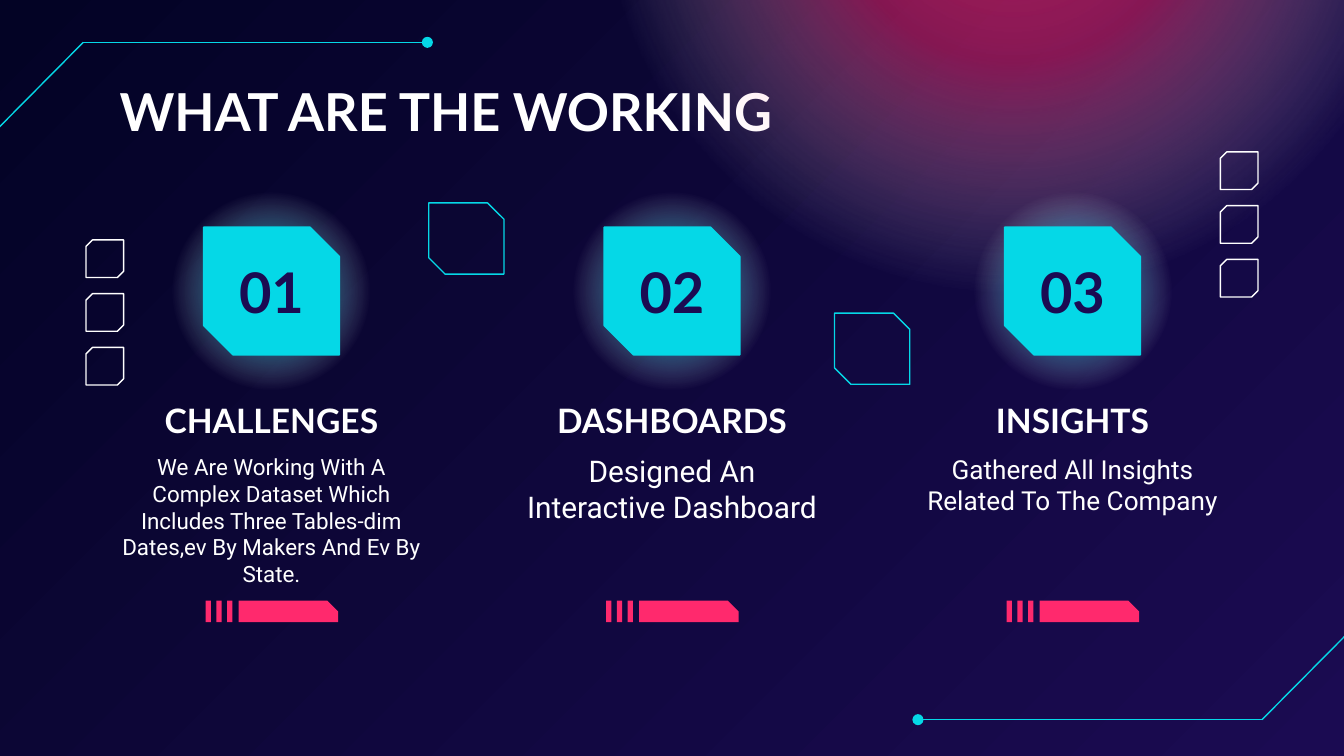
from lxml import etree
from pptx import Presentation
from pptx.dml.color import RGBColor
from pptx.enum.shapes import MSO_CONNECTOR, MSO_SHAPE
from pptx.enum.text import MSO_ANCHOR, MSO_AUTO_SIZE, PP_ALIGN
from pptx.oxml import parse_xml
from pptx.oxml.ns import qn
from pptx.util import Inches, Pt

OVAL, RECT = MSO_SHAPE.OVAL, MSO_SHAPE.RECTANGLE
SNIP, DIAG = MSO_SHAPE.SNIP_1_RECTANGLE, MSO_SHAPE.SNIP_2_DIAG_RECTANGLE
LINE = MSO_CONNECTOR.STRAIGHT
TOP, MID = MSO_ANCHOR.TOP, MSO_ANCHOR.MIDDLE
LEFT, CENTER = PP_ALIGN.LEFT, PP_ALIGN.CENTER
FIXED = MSO_AUTO_SIZE.NONE

NAVY, NIGHT, CYAN, PINK, WHITE = "1B0B52", "030325", "05D8E7", "FF296D", "FFFFFF"
HEAD, BODY = "Lato", "Roboto"
NS = "http://schemas.openxmlformats.org/drawingml/2006/main"


def color(code):
    return RGBColor.from_string(code)


def grid(*spans):
    """Turn columns and rows (100 columns to the slide's width) into lengths."""
    return [Inches(span / 10) for span in spans]


def write(shape, text, size=12, font=BODY, ink=WHITE, bold=False,
          align=CENTER, anchor=TOP, after=0):
    frame = shape.text_frame
    frame.word_wrap = True
    frame.auto_size = FIXED
    frame.vertical_anchor = anchor
    frame.margin_left = frame.margin_right = Inches(0.1)
    frame.margin_top = frame.margin_bottom = Inches(0.1)
    frame.text = text
    para = frame.paragraphs[0]
    para.alignment = align
    para.space_before, para.space_after = Pt(0), Pt(after)
    face = para.runs[0].font
    face.name, face.size, face.bold = font, Pt(size), bold
    face.color.rgb = color(ink)


class Deck:
    def __init__(self):
        self.file = Presentation()
        self.file.slide_width, self.file.slide_height = grid(100, 100 * 9 / 16)
        self.slide = self.file.slides.add_slide(self.file.slide_layouts[5])
        self.layer = self.slide.shapes

    def group(self):
        self.layer = self.slide.shapes.add_group_shape().shapes

    def leave(self):
        self.layer = self.slide.shapes

    def back(self, start, end):
        fill = self.slide.background.fill
        fill.gradient()
        fill.gradient_angle = 315
        for stop, code, place in zip(fill.gradient_stops, (start, end), (0, 1)):
            stop.color.rgb = color(code)
            stop.position = place

    def title(self, text, box):
        shape = self.slide.shapes.title
        shape.left, shape.top, shape.width, shape.height = grid(*box)
        write(shape, text, size=28, font=HEAD, bold=True, align=LEFT)

    def text(self, text, box, **style):
        write(self.layer.add_textbox(*grid(*box)), text, **style)

    def shape(self, kind, box, fill=None, line=None, cuts=(), turn=0):
        shape = self.layer.add_shape(kind, *grid(*box))
        shape.shadow.inherit = False
        shape.rotation = turn
        for index, cut in enumerate(cuts):
            shape.adjustments[index] = cut
        if fill:
            shape.fill.solid()
            shape.fill.fore_color.rgb = color(fill)
        else:
            shape.fill.background()
        if line:
            shape.line.color.rgb = color(line)
            shape.line.width = Pt(0.75)
        else:
            shape.line.fill.background()
        return shape

    def glow(self, x, y, size, code, core, ring):
        """Draw a round glow that fades out from its centre (x, y)."""
        shape = self.shape(OVAL, (x - size / 2, y - size / 2, size, size))
        stops = "".join(
            f'<a:gs pos="{pos}000"><a:srgbClr val="{tone}">'
            f'<a:alpha val="{alpha}000"/></a:srgbClr></a:gs>'
            for pos, tone, alpha in ((0, code, core), (30, code, ring),
                                     (69, WHITE, 0), (100, WHITE, 0)))
        fade = parse_xml(
            f'<a:gradFill xmlns:a="{NS}" rotWithShape="1"><a:gsLst>{stops}</a:gsLst>'
            '<a:path path="circle"><a:fillToRect l="50000" t="50000" '
            'r="50000" b="50000"/></a:path></a:gradFill>')
        props = shape._element.spPr
        props.replace(props.find(qn("a:noFill")), fade)

    def wire(self, start, end, dot=False):
        wire = self.layer.add_connector(LINE, *grid(*start, *end))
        wire.line.color.rgb = color(CYAN)
        wire.line.width = Pt(0.75)
        props = wire._element.spPr
        if dot:
            etree.SubElement(props.find(qn("a:ln")), qn("a:tailEnd"), type="oval")
        etree.SubElement(props, qn("a:effectLst"))

    def route(self, points):
        self.group()
        for index in range(len(points) - 1):
            self.wire(*points[index:index + 2], dot=index == len(points) - 2)
        self.leave()

    def bar(self, x, y):
        self.group()
        for index in range(3):
            self.shape(RECT, (x + 0.8 * index, y, 0.4, 1.6), fill=PINK)
        self.shape(SNIP, (x + 2.45, y, 7.4, 1.6), fill=PINK, cuts=[0.5])
        self.leave()

    def stack(self, x, y):
        self.group()
        for index in range(3):
            self.shape(DIAG, (x, y + 4 * index, 2.8, 2.8), line=WHITE,
                       cuts=[0, 0.17], turn=90)
        self.leave()

    def topic(self, mid, number, head, body, size):
        self.glow(mid, 21.65, 15.1, CYAN, 71, 48)
        self.shape(DIAG, (mid - 5.05, 16.9, 10.1, 9.5), fill=CYAN, line=CYAN,
                   cuts=[0, 0.23])
        self.text(number, (mid - 4.25, 19, 8.5, 5.3), size=30, font=HEAD,
                  ink=NAVY, bold=True, anchor=MID)
        self.text(head, (mid - 12.4, 29.3, 24.8, 3.9), size=18, font=HEAD,
                  bold=True, anchor=MID, after=12)
        self.text(body, (mid - 12.4, 32.7, 24.8, 10.1), size=size, after=12)
        self.bar(mid - 4.9, 44.7)


def main():
    deck = Deck()

    # Background, large glow and the two mirrored corner lines
    deck.back(NIGHT, NAVY)
    deck.glow(75.35, -8.65, 62.5, PINK, 67, 49)
    corner = [(-0.1, 9.5), (6.2, 3.15), (31.8, 3.15)]
    deck.route(corner)
    deck.route([(100.1 - x, 56.7 - y) for x, y in corner])

    # Title
    deck.title("WHAT ARE THE WORKING", (7.9, 4.9, 78.5, 6.7))

    # Three numbered topics
    topics = [
        ("01", "CHALLENGES", "We Are Working With A Complex Dataset Which Includes "
         "Three Tables-dim Dates,ev By Makers And Ev By State.", 12),
        ("02", "DASHBOARDS", "Designed An Interactive Dashboard", 16),
        ("03", "INSIGHTS", "Gathered All Insights Related To The Company", 14),
    ]
    for index, topic in enumerate(topics):
        deck.topic(20.2 + 29.8 * index, *topic)

    # Outlined ornaments
    for x, y in ((31.9, 15.1), (62.1, 23.3)):
        deck.shape(DIAG, (x, y, 5.6, 5.3), line=CYAN, cuts=[0, 0.23])
    deck.stack(90.8, 11.3)
    deck.stack(6.4, 17.85)

    deck.file.save("out.pptx")


if __name__ == "__main__":
    main()
